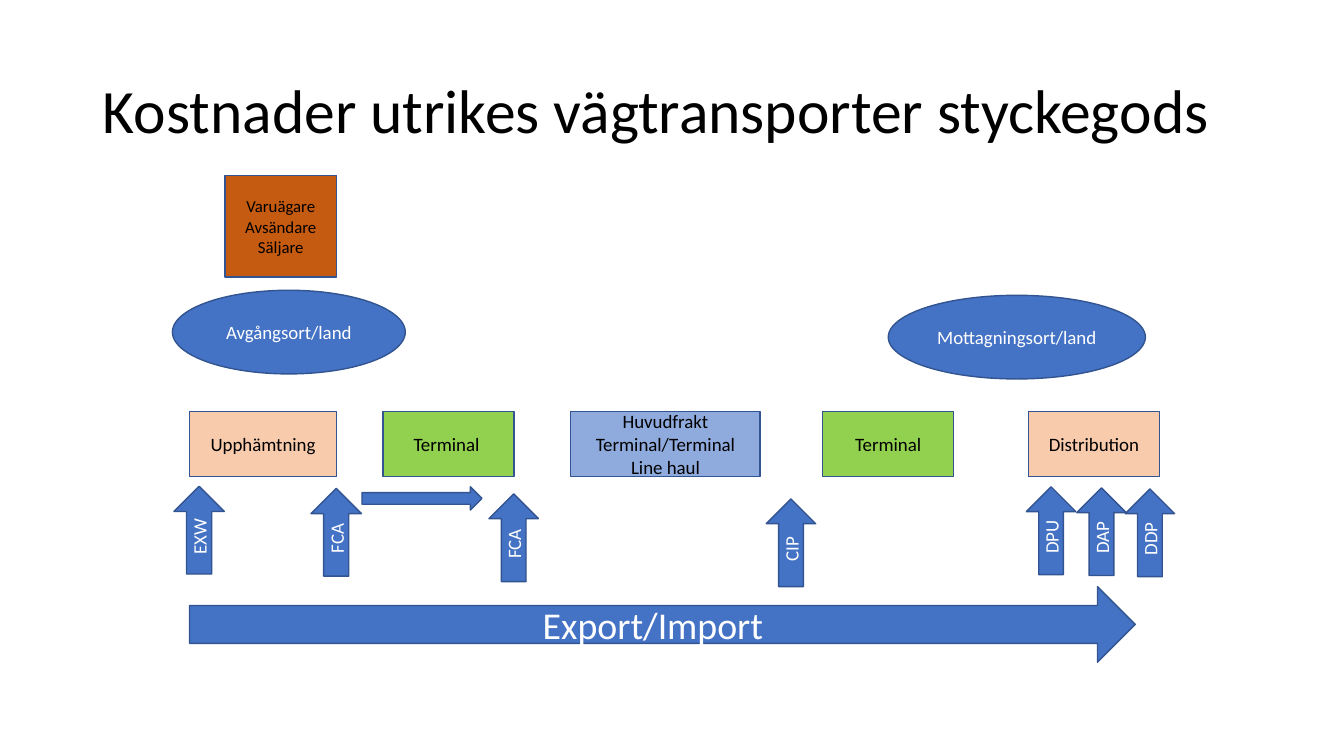
from dataclasses import dataclass

from pptx import Presentation
from pptx.dml.color import RGBColor
from pptx.enum import shapes, text
from pptx.util import Inches, Pt

COLORS = {
    "blue": "4472C4", "edge": "325491", "peach": "F8CBAD", "green": "92D050",
    "sky": "8FAADC", "rust": "C55A11", "black": "000000", "white": "FFFFFF",
}
RECT = shapes.MSO_SHAPE.RECTANGLE
OVAL = shapes.MSO_SHAPE.OVAL
ARROW = shapes.MSO_SHAPE.RIGHT_ARROW


@dataclass
class Node:
    label: str
    left: float
    top: float
    width: float
    height: float
    kind: shapes.MSO_SHAPE = RECT
    fill: str = "blue"
    ink: str = "white"
    size: float = 13.5
    turn: int = 0


@dataclass
class Term:
    label: str
    left: float
    top: float
    height: float = 0.49


def color(name: str) -> RGBColor:
    return RGBColor.from_string(COLORS[name])


def style(frame, align, size: float, ink: str) -> None:
    frame.word_wrap = True
    frame.vertical_anchor = text.MSO_ANCHOR.MIDDLE
    for para in frame.paragraphs:
        para.alignment = align
        for key, value in {"name": "Calibri", "size": Pt(size)}.items():
            setattr(para.font, key, value)
        para.font.color.rgb = color(ink)


def draw(slide, node: Node) -> None:
    box = (node.left, node.top, node.width, node.height)
    shape = slide.shapes.add_shape(node.kind, *map(Inches, box))
    shape.shadow.inherit = False
    shape.rotation = node.turn
    shape.fill.solid()
    shape.fill.fore_color.rgb = color(node.fill)
    shape.line.color.rgb = color("edge")
    shape.line.width = Pt(1)
    if not node.label:
        return
    frame = shape.text_frame
    frame.text = node.label
    style(frame, text.PP_ALIGN.CENTER, node.size, node.ink)
    if node.turn:
        pads = {"left": 0.07, "right": 0.07, "top": 0.04, "bottom": 0.04}
        for side, pad in pads.items():
            setattr(frame, f"margin_{side}", Inches(pad))


def stage(label: str, left: float, width: float, fill: str) -> Node:
    return Node(label, left, 4.08, width, 0.65, fill=fill, ink="black")


def rise(term: Term) -> Node:
    return Node(term.label, term.left, term.top, 0.87, term.height, ARROW, turn=270)


STAGES = [
    stage("Upphämtning", 1.88, 1.46, "peach"),
    stage("Terminal ", 3.8, 1.3, "green"),
    stage("Huvudfrakt Terminal/Terminal\nLine haul", 5.66, 1.88, "sky"),
    stage("Terminal", 8.16, 1.3, "green"),
    stage("Distribution", 10.2, 1.3, "peach"),
]
PLACES = [
    Node("Export/Import", 1.88, 5.82, 9.38, 0.75, ARROW, size=27),
    Node("Avgångsort/land", 1.71, 2.88, 2.31, 0.83, OVAL),
    Node("Mottagningsort/land", 8.81, 2.93, 2.55, 0.83, OVAL),
]
TERMS = [
    Term("FCA", 2.9, 5.03, 0.5),
    Term("EXW", 1.54, 5.01, 0.5),
    Term("FCA", 4.66, 5.09),
    Term("CIP", 7.41, 5.14),
    Term("DPU", 9.99, 5.02),
    Term("DAP", 10.49, 5.03),
    Term("DDP", 10.97, 5.04),
]
LINK = Node("", 3.59, 4.83, 1.19, 0.23, ARROW)
OWNER = Node("Varuägare\nAvsändare\nSäljare", 2.23, 1.74, 1.11, 1.01,
             fill="rust", ink="black", size=12)


def main() -> None:
    deck = Presentation()
    deck.slide_width, deck.slide_height = Inches(13.33), Inches(7.5)
    slide = deck.slides.add_slide(deck.slide_layouts[5])
    title = slide.shapes.title
    place = {"left": 0.92, "top": 0.4, "width": 11.5, "height": 1.45}
    for key, value in place.items():
        setattr(title, key, Inches(value))
    frame = title.text_frame
    frame.text = "Kostnader utrikes vägtransporter styckegods"
    frame.auto_size = text.MSO_AUTO_SIZE.NONE
    style(frame, text.PP_ALIGN.LEFT, 44, "black")
    frame.paragraphs[0].line_spacing = 0.9
    for node in [*STAGES, *PLACES, *map(rise, TERMS), LINK, OWNER]:
        draw(slide, node)
    deck.save("out.pptx")


if __name__ == "__main__":
    main()
